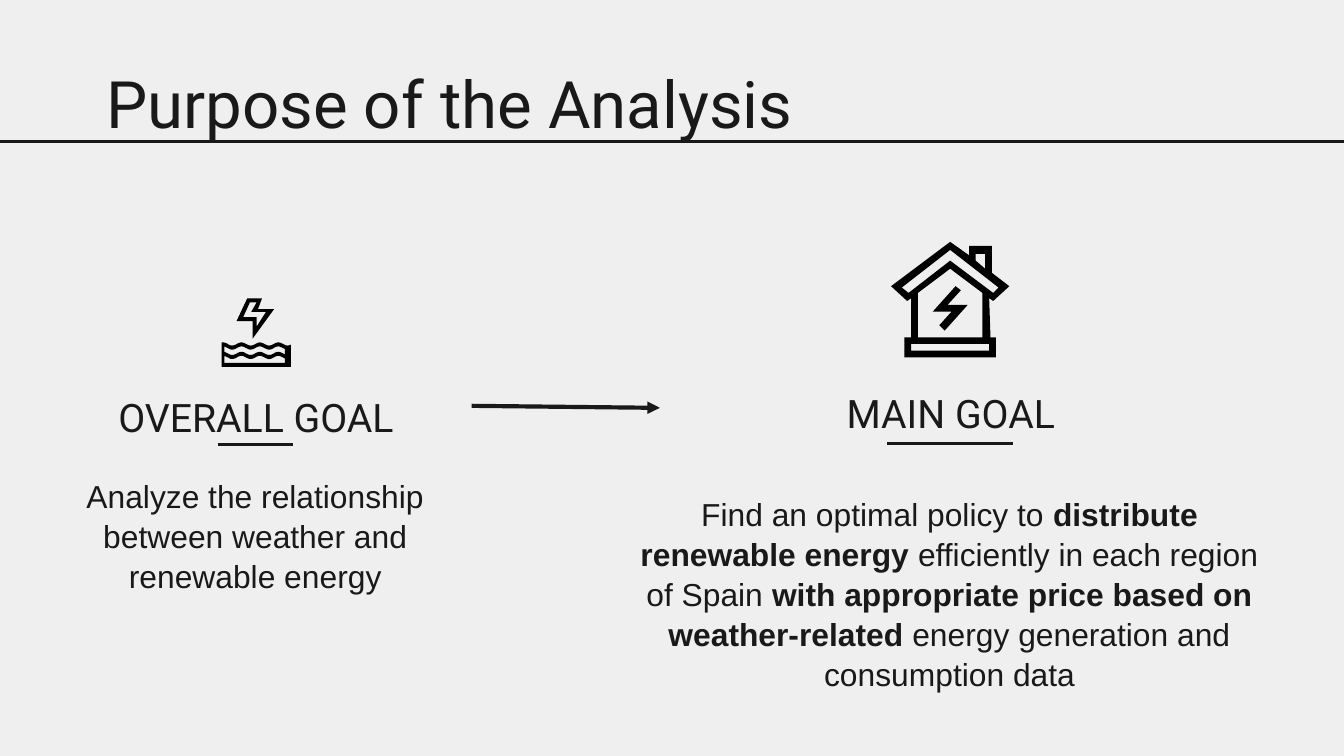
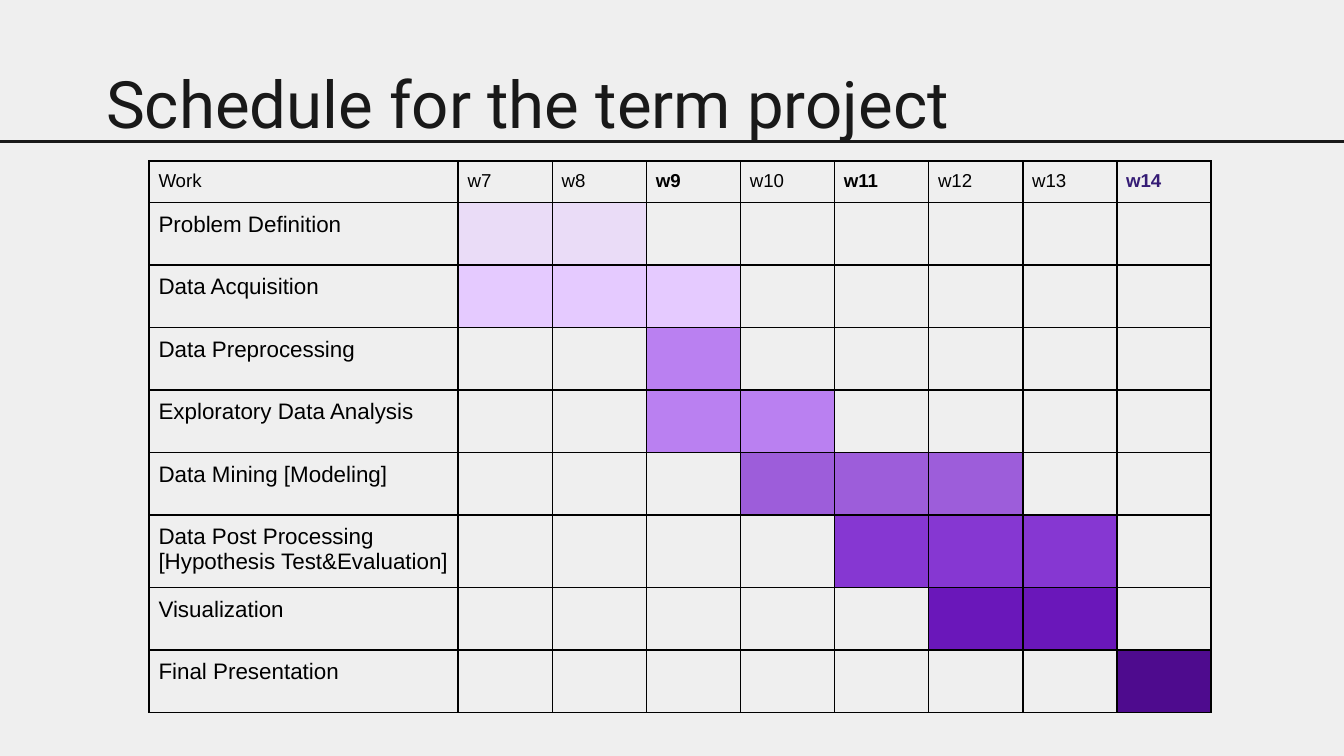
from math import cos, pi
from lxml.etree import SubElement as Sub
from pptx import Presentation
from pptx.dml.color import RGBColor
from pptx.enum.shapes import MSO_CONNECTOR as Link
from pptx.enum.text import MSO_ANCHOR as Anchor, PP_ALIGN as Align
from pptx.oxml.ns import qn
from pptx.util import Inches, Pt

PAPER = RGBColor(0xEF, 0xEF, 0xEF)
INK = RGBColor(0x19, 0x19, 0x19)
BLACK = RGBColor(0, 0, 0)
INDIGO = RGBColor(0x35, 0x1C, 0x75)
MIST = RGBColor(0xEA, 0xDC, 0xF7)
LILAC = RGBColor(0xE5, 0xCA, 0xFF)
MAUVE = RGBColor(0xBA, 0x80, 0xF1)
VIOLET = RGBColor(0x9D, 0x5D, 0xDA)
PURPLE = RGBColor(0x86, 0x37, 0xD2)
GRAPE = RGBColor(0x6A, 0x17, 0xBA)
PLUM = RGBColor(0x4E, 0x0B, 0x8E)
HEAD, BODY = "Roboto", "Arial"

deck = Presentation()
deck.slide_width = Inches(10)
deck.slide_height = deck.slide_width * 9 // 16
UNIT = deck.slide_width // 100  # square grid, 100 columns wide


def write(frame, text, size=17, font=BODY, color=INK, bold=False,
          align=Align.LEFT, lead=1.05, after=0):
    """Fill a frame; asterisks switch bold, line ends split paragraphs."""
    frame.word_wrap = True
    for i, row in enumerate(text.split("\n")):
        para = frame.add_paragraph() if i else frame.paragraphs[0]
        para.alignment, para.line_spacing = align, lead
        para.space_after = Pt(after)
        for j, part in enumerate(row.split("*")):
            run = para.add_run()
            run.text = part
            run.font.size, run.font.name = Pt(size), font
            run.font.bold = bold or j % 2 == 1
            run.font.color.rgb = color


def rule(slide, x1, y1, x2, y2, width=1.5):
    line = slide.shapes.add_connector(
        Link.STRAIGHT, *[round(v * UNIT) for v in (x1, y1, x2, y2)])
    line.line.color.rgb, line.line.width = INK, Pt(width)
    Sub(line._element.spPr, qn("a:effectLst"))
    return line


# Shared background, title and rule; then the text boxes of each slide
center = dict(align=Align.CENTER, after=16)
titles = ["Purpose of the Analysis", "Schedule for the term project"]
goals, plan = [deck.slides.add_slide(deck.slide_layouts[6]) for _ in titles]
label = dict(size=21, font=HEAD, **center)
boxes = [(page, (7.9, 4.4, 84.3, 5), (0, 0, 0, 0), name, dict(size=35, font=HEAD))
         for page, name in zip((goals, plan), titles)]
boxes += [
    (goals, (6.2, 28.1, 25.7, 4.3), (1, 1, 1, 1), "OVERALL GOAL", label),
    (goals, (4, 35.3, 30, 8.5), (1, 0, 1, 1),
     "Analyze the relationship between weather and renewable energy", center),
    (goals, (45.4, 36.7, 50.5, 14.4), (2, 0, 2, 1),
     "Find an optimal policy to *distribute renewable energy *efficiently in "
     "each region of Spain *with appropriate price based on weather-related* "
     "energy generation and consumption data", center),
    (goals, (49.1, 27.8, 43.3, 5.1), (1, 1, 1, 1), "MAIN GOAL", label),
]
for page, place, pads, text, style in boxes:
    box = page.shapes.add_textbox(*[round(v * UNIT) for v in place])
    frame = box.text_frame
    frame.margin_left, frame.margin_top, frame.margin_right, frame.margin_bottom = [
        p * UNIT for p in pads]
    frame.vertical_anchor = Anchor.TOP
    write(frame, text, **style)

for page in (goals, plan):
    page.background.fill.solid()
    page.background.fill.fore_color.rgb = PAPER
    rule(page, -0.3, 10.5, 100.4, 10.5)

# Goals: underlines and the arrow into the main goal
rule(goals, 16.2, 33.1, 21.8, 33.1)
rule(goals, 66, 33, 75.4, 33)
arrow = rule(goals, 35.1, 30.2, 49.1, 30.3, width=2.25)
arrow.end_connect(box, 1)
Sub(arrow.line._get_or_add_ln(), qn("a:tailEnd"), type="triangle")

# Goals: icons, each shape a list of outlines
house = [
    [(73.3, 18.9), (73.3, 20), (72.6, 19.4), (72.6, 18.9)],
    [(70.7, 18.6), (74.3, 21.4), (73.9, 21.8), (70.7, 19.4), (67.6, 21.8),
     (67.1, 21.4)],
    [(70.7, 20), (73.1, 21.8), (73.1, 25.1), (68.3, 25.1), (68.3, 21.8)],
    [(73.6, 25.6), (73.6, 26.1), (67.8, 26.1), (67.8, 25.6)],
    [(70.7, 18), (66.3, 21.3), (67.5, 22.4), (67.8, 22.2), (67.8, 25.1),
     (67.3, 25.1), (67.3, 26.6), (74.1, 26.6), (74.1, 25.1), (73.7, 25.1),
     (73.6, 22.2), (73.9, 22.4), (75.1, 21.3), (73.8, 20.3), (73.8, 18.3),
     (72.1, 18.3), (72.1, 19)],
]
spark = [[(71.1, 21.3), (69.4, 23.2), (70.8, 23.2), (69.9, 24.2), (70.3, 24.6),
          (72, 22.7), (70.5, 22.7), (71.5, 21.6)]]
bolt = [
    [(19.1, 22.5), (18.7, 23.2), (19.8, 23.2), (19.1, 24.3), (19.1, 23.6),
     (18.1, 23.6), (18.6, 22.5)],
    [(18.4, 22.2), (17.6, 23.9), (18.8, 23.9), (18.8, 25.2), (20.4, 23),
     (19.2, 23), (19.5, 22.2)],
]
# Water: left, right and height of the upper edge, then of the lower edge;
# a lower edge at a depth marked flat has no waves
water = []
for left, right, top, low, flat in [(16.7, 21.2, 25.9, 26.3, False),
                                    (16.7, 21.2, 26.6, 27, True),
                                    (16.5, 21.65, 25.6, 27.3, True)]:
    xs = [left + (right - left) * i / 40 for i in range(41)]
    wave = [0.12 * cos(2 * pi * (x - 16.6) / 1.37) for x in xs]
    upper = [(x, top - w) for x, w in zip(xs, wave)]
    lower = [(x, low - (0 if flat else w)) for x, w in zip(xs, wave)]
    water.append(upper + lower[::-1])

for icon in [(house, spark), (bolt, water)]:
    group = goals.shapes.add_group_shape()
    for loops in icon:
        pen = None
        for loop in loops:
            dots = [(x * 100, y * 100) for x, y in loop]
            if pen is None:
                pen = group.shapes.build_freeform(*dots[0], scale=UNIT / 100)
            else:
                pen.move_to(*dots[0])
            pen.add_line_segments(dots[1:], close=True)
        form = pen.convert_to_shape()
        form.fill.solid()
        form.fill.fore_color.rgb = BLACK
        form.line.fill.background()
        form.shadow.inherit = False

# Schedule: task, first week, last week, colour
weeks = range(7, 15)
tasks = [
    ("Problem Definition", 7, 8, MIST),
    ("Data Acquisition", 7, 9, LILAC),
    ("Data Preprocessing", 9, 9, MAUVE),
    ("Exploratory Data Analysis", 9, 10, MAUVE),
    ("Data Mining [Modeling]", 10, 12, VIOLET),
    ("Data Post Processing\n[Hypothesis Test&Evaluation]", 11, 13, PURPLE),
    ("Visualization", 12, 13, GRAPE),
    ("Final Presentation", 14, 14, PLUM),
]
grid = plan.shapes.add_table(
    len(tasks) + 1, len(weeks) + 1, *[round(v * UNIT) for v in (11.1, 12, 79, 40.5)]).table
grid.first_row = grid.horz_banding = False
for i, col in enumerate(grid.columns):
    col.width = 7 * UNIT if i else 23 * UNIT
for i, row in enumerate(grid.rows):
    row.height = round((4.65 if i else 2.95) * UNIT)

# Borders and margins come before the fills
for cell in grid.iter_cells():
    cell.margin_left = cell.margin_right = round(0.7 * UNIT)
    cell.margin_top = cell.margin_bottom = round(0.7 * UNIT)
    for side in ("lnL", "lnR", "lnT", "lnB"):
        edge = Sub(cell._tc.get_or_add_tcPr(), qn("a:" + side), w=str(Pt(1)))
        Sub(Sub(edge, qn("a:solidFill")), qn("a:srgbClr"), val=str(BLACK))
    cell.fill.background()

for c, name in enumerate(["Work"] + [f"w{week}" for week in weeks]):
    cell = grid.cell(0, c)
    cell.fill.solid()
    cell.fill.fore_color.rgb = PAPER
    write(cell.text_frame, name, size=10, bold=name in ("w9", "w11", "w14"),
          color=INDIGO if name == "w14" else BLACK, lead=1.0)

for r, (task, first, last, tint) in enumerate(tasks, 1):
    write(grid.cell(r, 0).text_frame, task, size=12, color=BLACK, lead=1.0)
    for week in range(first, last + 1):
        cell = grid.cell(r, week - weeks[0] + 1)
        cell.fill.solid()
        cell.fill.fore_color.rgb = tint

deck.save("out.pptx")
